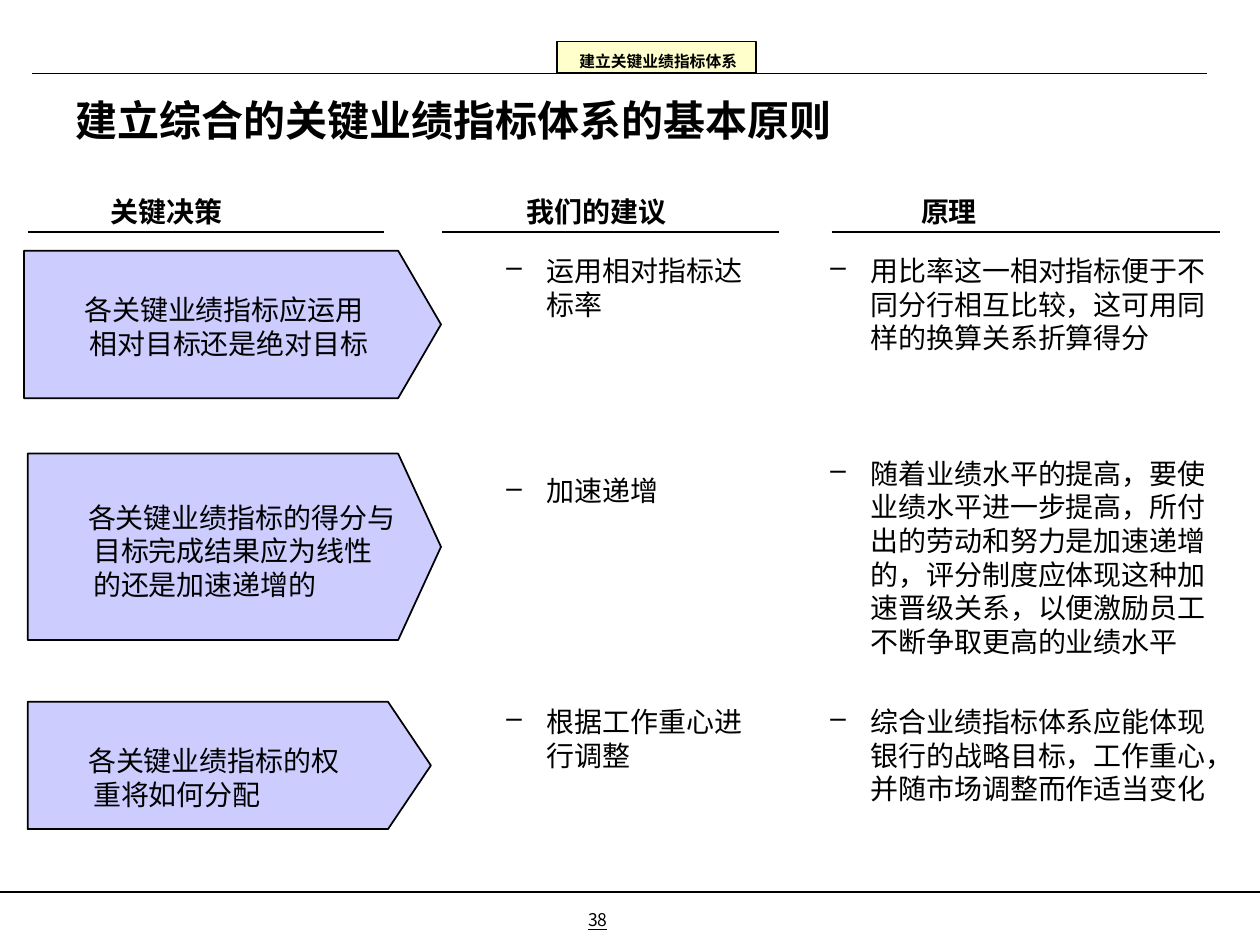
from dataclasses import dataclass

from lxml import etree
from pptx import Presentation
from pptx import util as u
from pptx.dml.color import RGBColor
from pptx.enum import shapes, text
from pptx.oxml.ns import qn


@dataclass(frozen=True)
class Theme:
    ink: str = "000000"
    arrow: str = "CCCCFF"
    tag: str = "FFFFCC"
    latin: str = "Times New Roman"
    asian: str = "Noto Sans CJK SC"
    title: int = 24
    body: int = 16
    number: int = 10
    small: int = 9


THEME = Theme()
WIDTH, HEIGHT = 10, 7.5
LINE_FACTOR = 1.2   # line pitch as a share of the type size
TOP_SHIFT = 0.1     # first line offset as a share of the type size

# Columns: heading left and width, heading text, rule start and end
HEADINGS = [
    (0.88, 1.7, "关键决策", 0.22, 3.05),
    (4.18, 1.99, "我们的建议", 3.51, 6.18),
    (7.31, 1.28, "原理", 6.6, 9.68),
]
HEADING_TOP, RULE_TOP = 1.52, 1.84
ADVICE_LEFT, ADVICE_WIDTH = 3.51, 2.59
REASON_LEFT, REASON_WIDTH = 6.08, 3.69
TIP = 0.34          # depth of an arrow's point

# Rows: arrow box, question box, question, advice top, advice, reason
ROWS = [
    ((0.19, 1.99, 3.31, 1.17), (0.33, 2.3, 2.67, 0.53),
     "各关键业绩指标应运用相对目标还是绝对目标",
     1.99, "运用相对指标达标率",
     "用比率这一相对指标便于不同分行相互比较，这可用同样的换算关系折算得分"),
    ((0.22, 3.6, 3.28, 1.48), (0.36, 3.95, 2.8, 0.8),
     "各关键业绩指标的得分与目标完成结果应为线性的还是加速递增的",
     3.74, "加速递增",
     "随着业绩水平的提高，要使业绩水平进一步提高，所付出的劳动和努力是加速递增的，"
     "评分制度应体现这种加速晋级关系，以便激励员工不断争取更高的业绩水平"),
    ((0.22, 5.57, 3.2, 1.01), (0.36, 5.88, 2.42, 0.53),
     "各关键业绩指标的权重将如何分配",
     5.57, "根据工作重心进行调整",
     "综合业绩指标体系应能体现银行的战略目标，工作重心，并随市场调整而作适当变化"),
]


def inches(box):
    return [u.Inches(length) for length in box]


def color(value):
    return RGBColor.from_string(value)


def write(shape, words, size, bold=False, underline=False, latin=THEME.latin,
          inset=(0, 0), wrap=True, margin=0, indent=0, bullet=None):
    """Put one formatted paragraph into a text box or placeholder."""
    frame = shape.text_frame
    frame.text = words
    frame.word_wrap = wrap
    frame.auto_size = text.MSO_AUTO_SIZE.NONE
    frame.vertical_anchor = text.MSO_ANCHOR.TOP
    frame.margin_left = frame.margin_right = u.Inches(inset[0])
    frame.margin_bottom = u.Inches(inset[1])
    frame.margin_top = u.Inches(inset[1]) + u.Pt(size * TOP_SHIFT)

    paragraph = frame.paragraphs[0]
    paragraph.alignment = text.PP_ALIGN.LEFT
    paragraph.space_before = u.Pt(0)
    paragraph.line_spacing = u.Pt(size * LINE_FACTOR)
    properties = paragraph._p.get_or_add_pPr()
    properties.set("marL", str(u.Inches(margin)))
    properties.set("indent", str(u.Inches(indent)))
    if bullet:
        etree.SubElement(properties, qn("a:buChar"), char=bullet)
    else:
        etree.SubElement(properties, qn("a:buNone"))

    for run in paragraph.runs:
        font = run.font
        font.size, font.bold, font.underline = u.Pt(size), bold, underline
        font.color.rgb = color(THEME.ink)
        font.name = latin
        etree.SubElement(run._r.get_or_add_rPr(), qn("a:ea"),
                         typeface=THEME.asian)


def add_text(slide, box, words, size, **style):
    write(slide.shapes.add_textbox(*inches(box)), words, size, **style)


def fill_placeholder(placeholder, box, words, size, **style):
    (placeholder.left, placeholder.top,
     placeholder.width, placeholder.height) = inches(box)
    write(placeholder, words, size, **style)


def add_bullet(slide, box, words):
    add_text(slide, box, words, THEME.body,
             margin=0.83, indent=-0.32, bullet="–")


def add_filled(slide, kind, box, fill, weight):
    shape = slide.shapes.add_shape(kind, *inches(box))
    shape.shadow.inherit = False
    shape.fill.solid()
    shape.fill.fore_color.rgb = color(fill)
    shape.line.color.rgb = color(THEME.ink)
    shape.line.width = u.Pt(weight)
    return shape


def add_rule(slide, start, end, top, weight=1):
    rule = slide.shapes.add_connector(shapes.MSO_CONNECTOR.STRAIGHT,
                                      *inches((start, top, end, top)))
    rule.line.color.rgb = color(THEME.ink)
    rule.line.width = u.Pt(weight)
    etree.SubElement(rule._element.spPr, qn("a:effectLst"))


def add_headings(slide, body):
    for index, (left, width, words, start, end) in enumerate(HEADINGS):
        box = (left, HEADING_TOP, width, 0.27)
        if index == 0:
            fill_placeholder(body, box, words, THEME.body, bold=True)
        else:
            add_text(slide, box, words, THEME.body, bold=True)
        add_rule(slide, start, end, RULE_TOP)


def add_row(slide, arrow_box, question_box, question, advice_top, advice, reason):
    top, height = arrow_box[1], arrow_box[3]
    arrow = add_filled(slide, shapes.MSO_SHAPE.PENTAGON, arrow_box,
                       THEME.arrow, 1)
    arrow.adjustments[0] = TIP / height
    add_text(slide, question_box, question, THEME.body,
             margin=0.38, indent=-0.04)
    add_bullet(slide, (ADVICE_LEFT, advice_top, ADVICE_WIDTH, 0.53), advice)
    add_bullet(slide, (REASON_LEFT, top, REASON_WIDTH, height), reason)


def main():
    presentation = Presentation()
    presentation.slide_width, presentation.slide_height = inches((WIDTH, HEIGHT))
    slide = presentation.slides.add_slide(presentation.slide_layouts[1])
    title, body = slide.placeholders

    # Title, column headings and the three decisions
    fill_placeholder(title, (0.5, 0.67, 6.58, 0.67),
                     "建立综合的关键业绩指标体系的基本原则",
                     THEME.title, bold=True, inset=(0.1, 0.05))
    add_headings(slide, body)
    for row in ROWS:
        add_row(slide, *row)

    # Footer with page number
    add_rule(slide, 0, WIDTH, 7.08)
    add_text(slide, (4.57, 7.15, 0.36, 0.27), "38", THEME.number,
             underline=True, latin=THEME.asian, inset=(0.1, 0.05), wrap=False)

    # Section tag on the top rule
    add_filled(slide, shapes.MSO_SHAPE.RECTANGLE, (4.42, 0.33, 1.58, 0.25),
               THEME.tag, 0.75)
    add_text(slide, (4.5, 0.35, 1.45, 0.25), "建立关键业绩指标体系",
             THEME.small, bold=True, inset=(0.1, 0.05), wrap=False)
    add_rule(slide, 0.25, 9.58, 0.58, weight=0.25)

    presentation.save("out.pptx")


if __name__ == "__main__":
    main()
